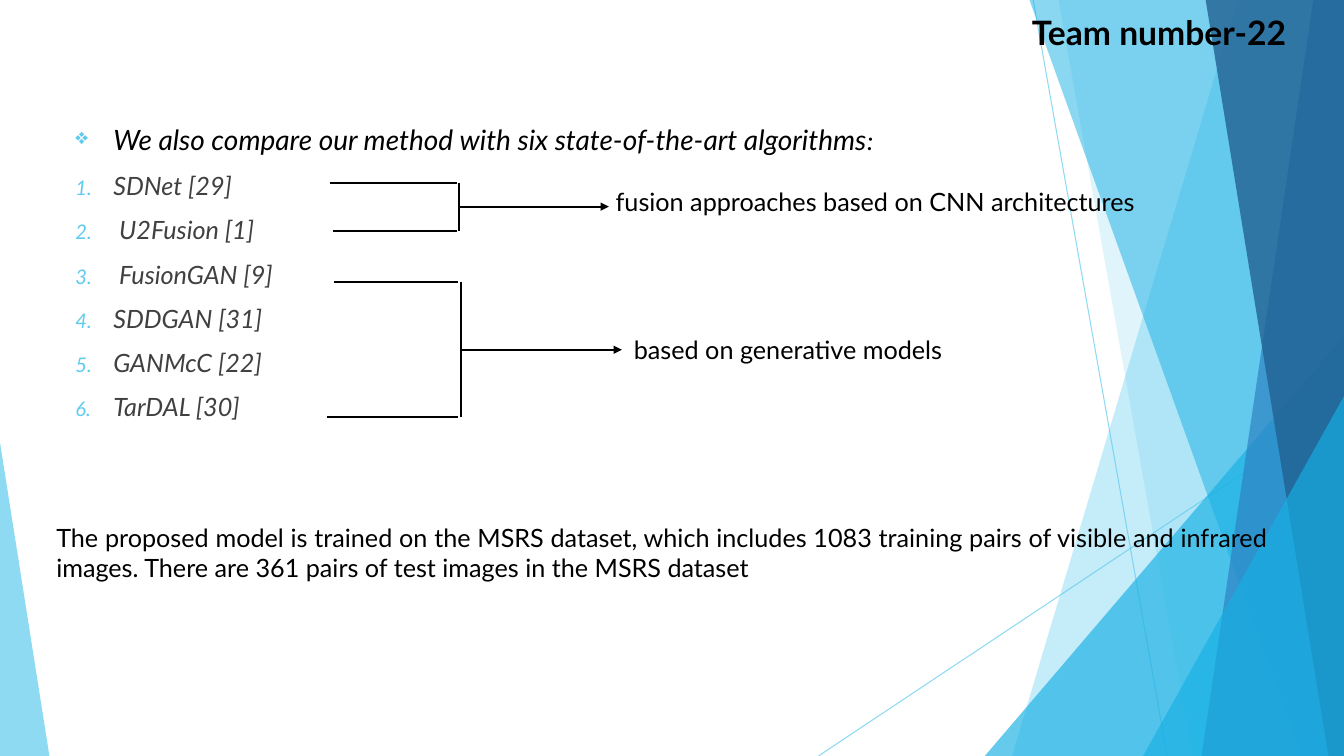
from dataclasses import dataclass

from pptx import Presentation
from pptx.dml.color import RGBColor
from pptx.enum import shapes, text
from pptx.oxml import ns, xmlchemy
from pptx.util import Pt

WIDTH, HEIGHT = 960, 540


@dataclass(frozen=True)
class Theme:
    font: str = "Lato"
    black: str = "000000"
    gray: str = "404040"
    sky: str = "5FCBEF"
    cyan: str = "17B0E4"
    blue: str = "2E83C3"
    navy: str = "226292"
    title: float = 24
    lead: float = 20
    body: float = 18
    hairline: float = 0.75
    rule: float = 1.5


THEME = Theme()


@dataclass(frozen=True)
class Band:
    """A panel from a slanted left edge to the right side of the slide."""
    top_x: float
    bottom_x: float
    color: str
    opacity: int


@dataclass(frozen=True)
class Wedge:
    left: float
    top: float
    width: float
    apex: float
    color: str
    opacity: int


@dataclass(frozen=True)
class Line:
    x1: float
    y1: float
    x2: float
    y2: float
    color: str = THEME.black
    weight: float = THEME.rule
    opacity: int = 100
    arrow: bool = False


@dataclass(frozen=True)
class Bracket:
    """Two arms joined by a spine, with an arrow to a label."""
    top: float
    bottom: float
    upper_x: float
    lower_x: float
    arm_end: float
    spine_x: float
    arrow_y: float
    arrow_end: float


@dataclass(frozen=True)
class Label:
    words: str
    left: float
    top: float
    width: float
    height: float
    size: float = THEME.body
    bold: bool = False
    align: text.PP_ALIGN = text.PP_ALIGN.LEFT


BACKDROP = (
    Line(738, 0, 833.76, HEIGHT, THEME.sky, THEME.hairline, 70),
    Line(WIDTH, 290.16, 584.64, HEIGHT, THEME.sky, THEME.hairline, 70),
    Band(884.16, 722.88, THEME.sky, 36),
    Band(756, 851.76, THEME.sky, 20),
    Wedge(703.44, 239.76, 256.56, 1, THEME.cyan, 66),
    Band(735.12, 929.52, THEME.cyan, 50),
    Band(938.16, 858.24, THEME.blue, 70),
    Band(861.12, 948.96, THEME.navy, 80),
    Wedge(816.48, 282.96, 143.52, 1, THEME.cyan, 66),
    Wedge(0, 316.08, 35.28, 0, THEME.sky, 70),
)
BRACKETS = (
    Bracket(131, 165, 236, 237.6, 326.2, 327.6, 147.6, 434.9),
    Bracket(201.6, 298, 238.3, 233.3, 326.9, 329, 249.8, 444.2),
)
LABELS = (
    Label("Team number-22", 730, 5, 224.6, 58.3, THEME.title, True),
    Label("fusion approaches based on CNN architectures", 432.7, 129.6, 480.2, 28.8),
    Label("based on generative models", 445.7, 235.4, 248.4, 28.8),
    Label("The proposed model is trained on the MSRS dataset, which includes 1083 "
          "training pairs of visible and infrared images. There are 361 pairs of "
          "test images in the MSRS dataset",
          33.1, 369.4, 879.8, 51.1, align=text.PP_ALIGN.JUSTIFY),
)
ALGORITHMS = ("SDNet [29]", " U2Fusion [1]", " FusionGAN [9]",
              "SDDGAN [31]", "GANMcC [22]", "TarDAL [30]")


def add_child(parent, tag: str, **attributes: str):
    child = xmlchemy.OxmlElement(tag)
    for name, value in attributes.items():
        child.set(name, value)
    parent.append(child)
    return child


def set_opacity(item, percent: int) -> None:
    if percent < 100:
        for color in item.element.iter(ns.qn("a:srgbClr")):
            add_child(color, "a:alpha", val=str(percent * 1000))


def paint(shape, color: str, opacity: int) -> None:
    shape.shadow.inherit = False
    shape.fill.solid()
    shape.fill.fore_color.rgb = RGBColor.from_string(color)
    shape.line.fill.background()
    set_opacity(shape, opacity)


def draw_band(page, band: Band) -> None:
    builder = page.shapes.build_freeform(Pt(band.top_x), Pt(-0.72))
    corners = ((WIDTH, -0.72), (WIDTH, HEIGHT), (band.bottom_x, HEIGHT))
    builder.add_line_segments([(Pt(x), Pt(y)) for x, y in corners], close=True)
    paint(builder.convert_to_shape(), band.color, band.opacity)


def draw_wedge(page, wedge: Wedge) -> None:
    shape = page.shapes.add_shape(
        shapes.MSO_SHAPE.ISOSCELES_TRIANGLE, Pt(wedge.left), Pt(wedge.top),
        Pt(wedge.width), Pt(HEIGHT - wedge.top))
    shape.adjustments[0] = wedge.apex
    paint(shape, wedge.color, wedge.opacity)


def draw_line(page, line: Line) -> None:
    connector = page.shapes.add_connector(
        shapes.MSO_CONNECTOR.STRAIGHT,
        Pt(line.x1), Pt(line.y1), Pt(line.x2), Pt(line.y2))
    connector.line.width = Pt(line.weight)
    connector.line.color.rgb = RGBColor.from_string(line.color)
    set_opacity(connector, line.opacity)
    if line.arrow:
        add_child(connector.line._get_or_add_ln(), "a:tailEnd", type="triangle")
    add_child(connector.element.spPr, "a:effectLst")


def draw_bracket(page, bracket: Bracket) -> None:
    spine = bracket.spine_x
    for start, y in ((bracket.upper_x, bracket.top), (bracket.lower_x, bracket.bottom)):
        draw_line(page, Line(start, y, bracket.arm_end, y))
    draw_line(page, Line(spine, bracket.top, spine, bracket.bottom))
    draw_line(page, Line(spine, bracket.arrow_y, bracket.arrow_end,
                         bracket.arrow_y, arrow=True))


def add_span(para, words: str, *, size: float = THEME.body, color: str = THEME.black,
             bold: bool = False, italic: bool = False) -> None:
    span = para.add_run()
    span.text = words
    span.font.name = THEME.font
    span.font.size = Pt(size)
    span.font.bold = bold
    span.font.italic = italic
    span.font.color.rgb = RGBColor.from_string(color)


def add_box(page, left: float, top: float, width: float, height: float):
    box = page.shapes.add_textbox(Pt(left), Pt(top), Pt(width), Pt(height))
    box.text_frame.word_wrap = True
    return box.text_frame


def draw_label(page, label: Label) -> None:
    para = add_box(page, label.left, label.top, label.width, label.height).paragraphs[0]
    para.alignment = label.align
    add_span(para, label.words, size=label.size, bold=label.bold)


def set_bullet(para, tag: str, **attributes: str) -> None:
    para.space_before = Pt(10)
    props = para._p.get_or_add_pPr()
    props.set("marL", str(Pt(27)))
    props.set("indent", str(Pt(-27)))
    add_child(add_child(props, "a:buClr"), "a:srgbClr", val=THEME.sky)
    add_child(props, "a:buSzPct", val="80000")
    add_child(props, tag, **attributes)


def draw_algorithms(page) -> None:
    frame = add_box(page, 46.8, 84.2, 704.2, 285.8)
    lead = frame.paragraphs[0]
    set_bullet(lead, "a:buChar", char="❖")
    add_span(lead, "We also compare our method with six state-of-the-art algorithms",
             size=THEME.lead, italic=True)
    add_span(lead, ":", italic=True)
    for name in ALGORITHMS:
        para = frame.add_paragraph()
        set_bullet(para, "a:buAutoNum", type="arabicPeriod")
        add_span(para, name, color=THEME.gray, italic=True)


def main() -> None:
    deck = Presentation()
    deck.slide_width, deck.slide_height = Pt(WIDTH), Pt(HEIGHT)
    page = deck.slides.add_slide(deck.slide_layouts[6])
    painters = {Line: draw_line, Band: draw_band, Wedge: draw_wedge}
    for item in BACKDROP:
        painters[type(item)](page, item)
    draw_algorithms(page)
    for bracket in BRACKETS:
        draw_bracket(page, bracket)
    for label in LABELS:
        draw_label(page, label)
    deck.save("out.pptx")


if __name__ == "__main__":
    main()
